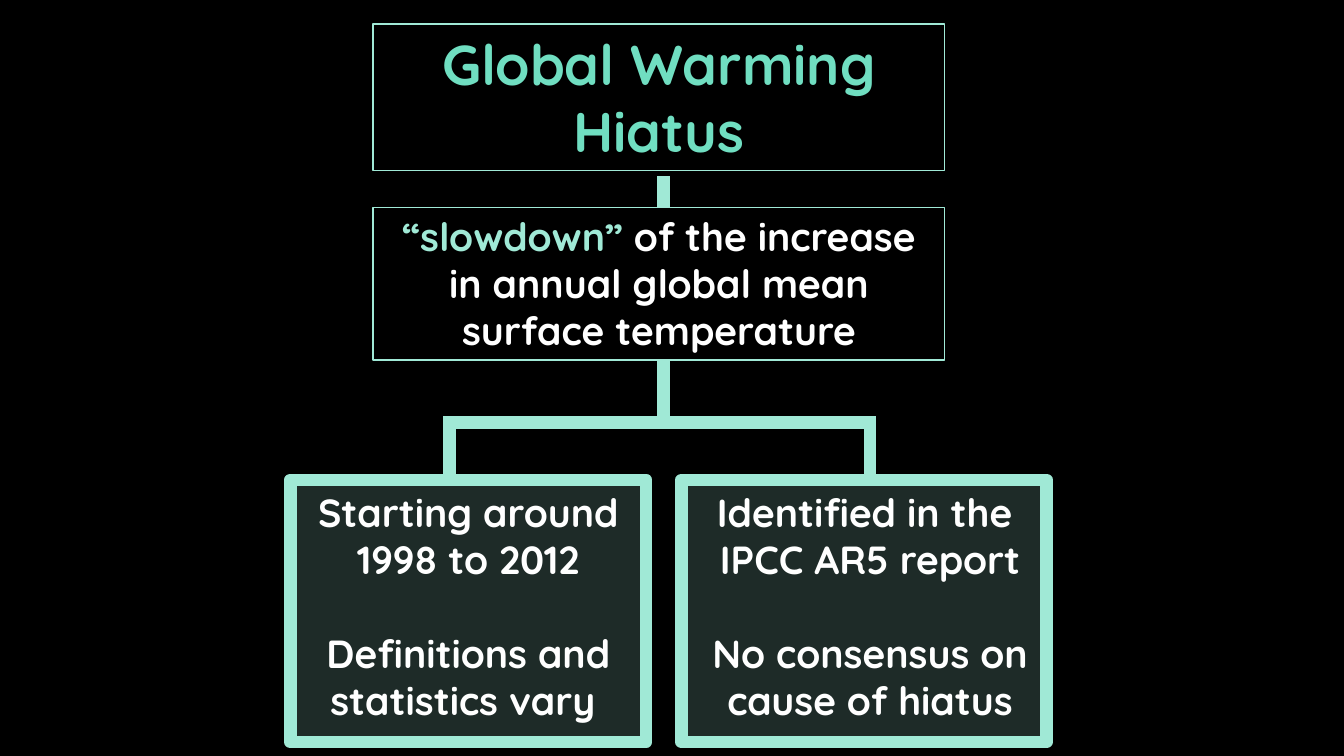
import pptx
import pptx.util
import pptx.dml.color
import pptx.enum.shapes
import pptx.enum.text
import pptx.oxml.ns
from lxml import etree
from dataclasses import dataclass


@dataclass(frozen=True)
class Theme:
    font: str = "Quicksand"
    background: str = "000000"
    mint: str = "A0E9D6"
    heading: str = "70DEC1"
    white: str = "FFFFFF"
    title_size: int = 40
    body_size: int = 28
    thin: int = 1
    thick: int = 9
    panel_opacity: int = 19000
    paragraph_gap: float = 33.6


THEME = Theme()

# Content: a paragraph is a list of (text, colour) spans
TITLE = [("Global Warming Hiatus", THEME.heading)]
DEFINITION = [
    ("“slowdown” ", THEME.mint),
    ("of the increase in annual global mean surface temperature", THEME.white),
]
DETAILS = [
    ["Starting around 1998 to 2012", "Definitions and statistics vary "],
    ["Identified in the \vIPCC AR5 report", "No consensus on cause of hiatus"],
]

# Layout, in percent of slide width and height
HEAD_LEFT, HEAD_WIDTH = 27.76, 42.54
HEADS = [  # top, height, spans, type size
    (3.2, 19.33, TITLE, THEME.title_size),
    (27.47, 20.13, DEFINITION, THEME.body_size),
]
PANEL_TOP, PANEL_HEIGHT = 63.47, 34.67
PANELS = [(21.6, 26.48), (50.71, 27.16)]  # left, width
DETAIL_TOP = 63.87
DETAIL_BOXES = [(22.43, 24.83), (51.16, 27.16)]  # left, width
TRUNK_X = 49.36
BRANCH_XS = [33.46, 64.74]
TRUNK_SPANS = [(23.33, 27.73), (47.73, 55.07)]  # from, to
BAR_Y, DROP_TOP = 55.87, 55.07

deck = pptx.Presentation()
deck.slide_width = pptx.util.Inches(13.33)
deck.slide_height = pptx.util.Inches(7.5)
page = deck.slides.add_slide(deck.slide_layouts[6])


def color(value):
    return pptx.dml.color.RGBColor.from_string(value)


def across(share):
    return round(deck.slide_width * share / 100)


def down(share):
    return round(deck.slide_height * share / 100)


def place(left, top, width, height):
    return across(left), down(top), across(width), down(height)


def add_rectangle(area, fill, line_width):
    box = page.shapes.add_shape(pptx.enum.shapes.MSO_SHAPE.RECTANGLE, *place(*area))
    box.shadow.inherit = False
    box.fill.solid()
    box.fill.fore_color.rgb = color(fill)
    box.line.color.rgb = color(THEME.mint)
    box.line.width = pptx.util.Pt(line_width)
    return box


def add_line(x1, y1, x2, y2):
    line = page.shapes.add_connector(
        pptx.enum.shapes.MSO_CONNECTOR.STRAIGHT,
        across(x1), down(y1), across(x2), down(y2))
    line.line.color.rgb = color(THEME.mint)
    line.line.width = pptx.util.Pt(THEME.thick)
    etree.SubElement(line._element.spPr, pptx.oxml.ns.qn("a:effectLst"))


def style(para, size):
    para.alignment = pptx.enum.text.PP_ALIGN.CENTER
    para.font.name = THEME.font
    para.font.size = pptx.util.Pt(size)
    para.font.bold = True


# Background
page.background.fill.solid()
page.background.fill.fore_color.rgb = color(THEME.background)

# Translucent panels
for left, width in PANELS:
    panel = add_rectangle((left, PANEL_TOP, width, PANEL_HEIGHT), THEME.mint, THEME.thick)
    tint = panel._element.spPr.find(
        f"{pptx.oxml.ns.qn('a:solidFill')}/{pptx.oxml.ns.qn('a:srgbClr')}")
    etree.SubElement(tint, pptx.oxml.ns.qn("a:alpha"), val=str(THEME.panel_opacity))

# Tree lines
for start, end in TRUNK_SPANS:
    add_line(TRUNK_X, start, TRUNK_X, end)
for branch_x in BRANCH_XS:
    add_line(branch_x, BAR_Y, TRUNK_X, BAR_Y)
    add_line(branch_x, DROP_TOP, branch_x, PANEL_TOP)

# Panel text
for (left, width), lines in zip(DETAIL_BOXES, DETAILS):
    box = page.shapes.add_textbox(*place(left, DETAIL_TOP, width, PANEL_HEIGHT))
    frame = box.text_frame
    frame.word_wrap = True
    for index, line in enumerate(lines):
        para = frame.add_paragraph() if index else frame.paragraphs[0]
        para.text = line
        style(para, THEME.body_size)
        para.font.color.rgb = color(THEME.white)
        if index:
            para.space_before = pptx.util.Pt(THEME.paragraph_gap)

# Title and definition
for top, height, spans, size in HEADS:
    box = add_rectangle((HEAD_LEFT, top, HEAD_WIDTH, height), THEME.background, THEME.thin)
    frame = box.text_frame
    frame.word_wrap = True
    frame.vertical_anchor = pptx.enum.text.MSO_ANCHOR.TOP
    para = frame.paragraphs[0]
    style(para, size)
    for text, tone in spans:
        span = para.add_run()
        span.text = text
        span.font.color.rgb = color(tone)

deck.save("out.pptx")
